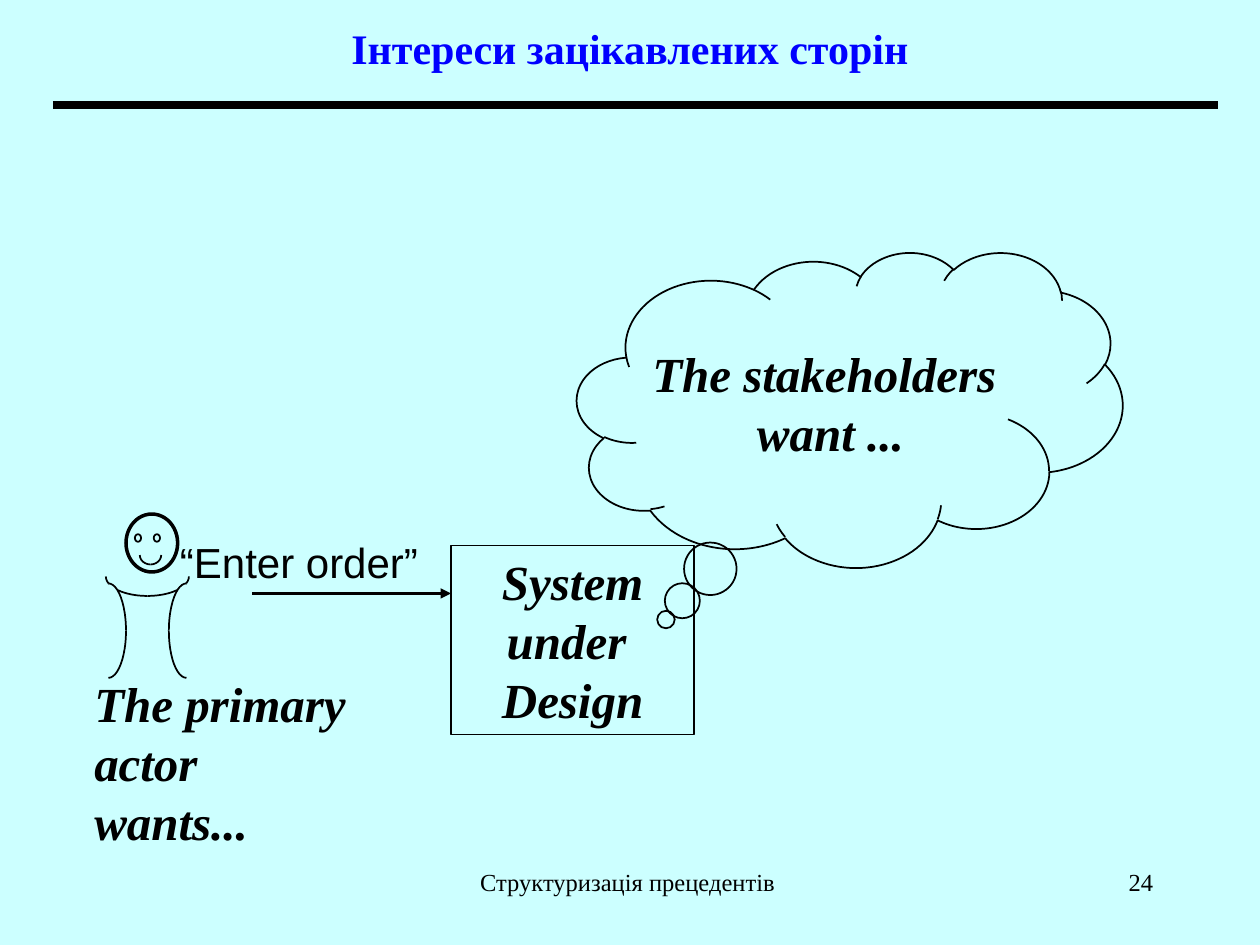
from lxml.etree import SubElement
from pptx import Presentation
from pptx.dml.color import RGBColor
from pptx.enum.shapes import MSO_CONNECTOR, MSO_SHAPE
from pptx.enum.text import MSO_ANCHOR, MSO_AUTO_SIZE, PP_ALIGN
from pptx.oxml.ns import qn
from pptx.util import Inches, Pt

BACKGROUND = "CCFFFF"
BLACK = "000000"
SERIF = "Times New Roman"

prs = Presentation()
prs.slide_width = Inches(10)
prs.slide_height = Inches(7.5)
slide = prs.slides.add_slide(prs.slide_layouts[6])
shapes = slide.shapes


def color(value):
    return RGBColor.from_string(value)


def write(owner, text, size=28, font=SERIF, ink=BLACK, bold=False, italic=False,
          align=PP_ALIGN.LEFT, anchor=MSO_ANCHOR.TOP, wrap=True, grow=False):
    frame = owner.text_frame
    frame.text = text
    frame.word_wrap = wrap
    frame.vertical_anchor = anchor
    frame.auto_size = MSO_AUTO_SIZE.SHAPE_TO_FIT_TEXT if grow else MSO_AUTO_SIZE.NONE
    for paragraph in frame.paragraphs:
        paragraph.alignment = align
        for run in paragraph.runs:
            run.font.name = font
            run.font.size = Pt(size)
            run.font.bold = bold
            run.font.italic = italic
            run.font.color.rgb = color(ink)


slide.background.fill.solid()
slide.background.fill.fore_color.rgb = color(BACKGROUND)

title = shapes.add_textbox(Inches(0.75), Inches(0), Inches(8.5), Inches(0.75))
write(title, "Інтереси зацікавлених сторін", size=24, ink="0000FF", bold=True,
      align=PP_ALIGN.CENTER, anchor=MSO_ANCHOR.MIDDLE)

for start, end, y, weight, pointed in [(0.42, 9.67, 0.83, 4.5, False),
                                       (2, 3.58, 4.71, 2, True)]:
    rule = shapes.add_connector(MSO_CONNECTOR.STRAIGHT, Inches(start), Inches(y),
                                Inches(end), Inches(y))
    rule.line.color.rgb = color(BLACK)
    rule.line.width = Pt(weight)
    if pointed:
        SubElement(rule.line._get_or_add_ln(), qn("a:tailEnd"), type="triangle")
    SubElement(rule._element.spPr, qn("a:effectLst"))

stakeholders = shapes.add_shape(MSO_SHAPE.CLOUD_CALLOUT, Inches(4.58), Inches(2),
                                Inches(4.33), Inches(2.5))
stakeholders.adjustments[0] = -0.337
stakeholders.adjustments[1] = 0.667
write(stakeholders, "The stakeholders \nwant ...", bold=True, italic=True,
      align=PP_ALIGN.CENTER, anchor=MSO_ANCHOR.MIDDLE, wrap=False)

face = (1, 4.08, 0.41, 0.46)
left_eye = (1.07, 4.24, 0.05, 0.06)
right_eye = (1.22, 4.24, 0.05, 0.06)
actor = []
for box, weight in [(face, 2), (left_eye, 1), (right_eye, 1)]:
    part = shapes.add_shape(MSO_SHAPE.OVAL, *map(Inches, box))
    actor.append((part, weight))

mouth = (1.11, 4.33, 0.17, 0.15)
shoulders = (0.84, 4.42, 0.66, 0.31)
left_side = (0.72, 4.63, 0.28, 0.75)
right_side = (1.34, 4.63, 0.28, 0.75)
for box, quarters in [(mouth, (0, 90)), (shoulders, (0, 90)),
                      (left_side, (270, 0)), (right_side, (180, 90))]:
    for angle in quarters:
        part = shapes.add_shape(MSO_SHAPE.ARC, *map(Inches, box))
        part.adjustments[0] = angle * 0.6
        part.adjustments[1] = (angle + 90) % 360 * 0.6
        actor.append((part, 1))

order = shapes.add_textbox(Inches(1.33), Inches(4.21), Inches(2.09), Inches(0.5))
write(order, "“Enter order”", size=24, font="Arial", wrap=False, grow=True)

system = shapes.add_shape(MSO_SHAPE.RECTANGLE, Inches(3.58), Inches(4.33),
                          Inches(1.93), Inches(1.5))
write(system, "System\nunder \nDesign", bold=True, italic=True,
      align=PP_ALIGN.CENTER, grow=True)

for part, weight in actor + [(stakeholders, 1), (system, 1)]:
    part.shadow.inherit = False
    part.line.color.rgb = color(BLACK)
    part.line.width = Pt(weight)
    if part in (stakeholders, system):
        part.fill.background()
    else:
        part.fill.solid()
        part.fill.fore_color.rgb = color(BACKGROUND)

wish = shapes.add_textbox(Inches(0.65), Inches(5.3), Inches(2.33), Inches(1.04))
write(wish, "The primary\nactor wants...", bold=True, italic=True, wrap=False, grow=True)

footer = shapes.add_textbox(Inches(3.42), Inches(6.83), Inches(3.17), Inches(0.5))
write(footer, "Структуризація прецедентів ", size=14, align=PP_ALIGN.CENTER)

page_number = shapes.add_textbox(Inches(7.17), Inches(6.83), Inches(2.08), Inches(0.5))
write(page_number, "24", size=14, align=PP_ALIGN.RIGHT)

prs.save("out.pptx")
